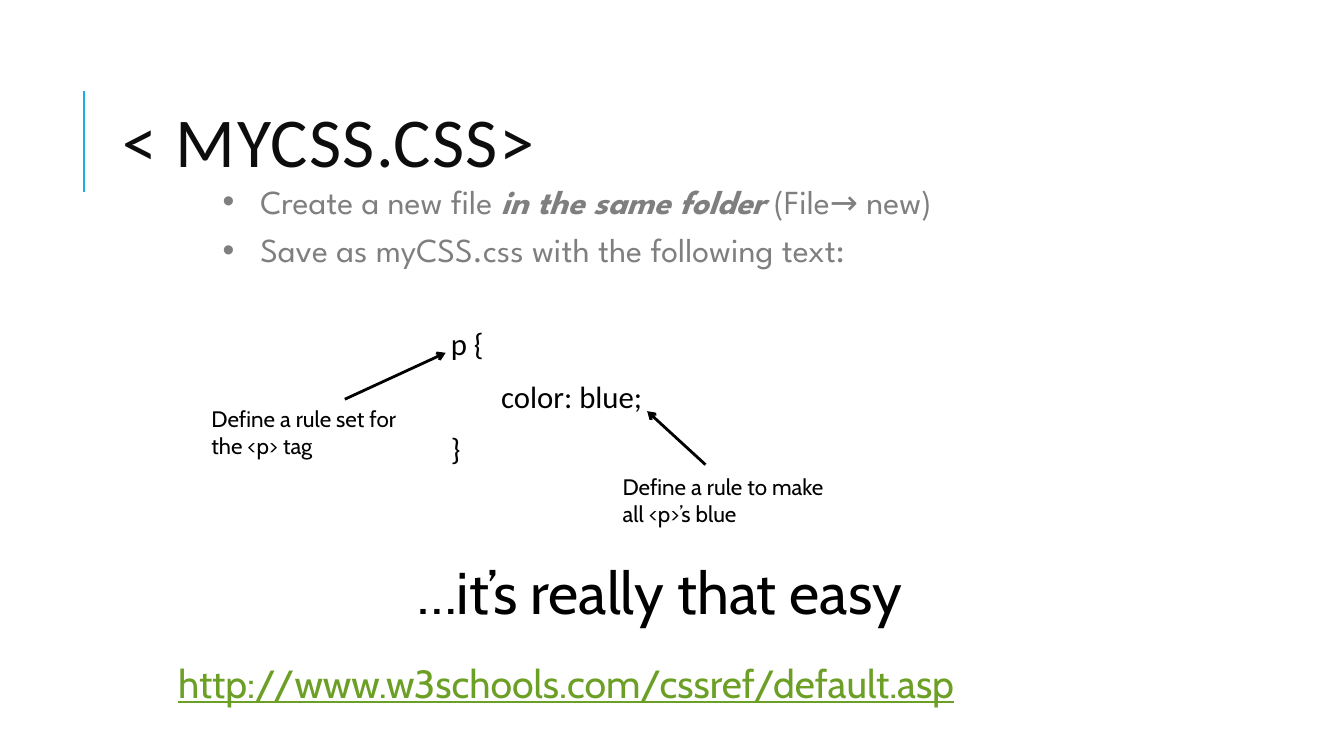
import pptx
import pptx.util
import pptx.dml.color
import pptx.enum.shapes
import pptx.enum.text
import pptx.oxml
import pptx.oxml.ns

Cm, Pt = pptx.util.Cm, pptx.util.Pt
RGBColor = pptx.dml.color.RGBColor
MSO_ANCHOR = pptx.enum.text.MSO_ANCHOR
MSO_AUTO_SIZE = pptx.enum.text.MSO_AUTO_SIZE
PP_ALIGN = pptx.enum.text.PP_ALIGN
STRAIGHT = pptx.enum.shapes.MSO_CONNECTOR.STRAIGHT

BLACK = RGBColor(0x00, 0x00, 0x00)
INK = RGBColor(0x0D, 0x0D, 0x0D)
GREY = RGBColor(0x7F, 0x7F, 0x7F)
GREEN = RGBColor(0x6B, 0x9F, 0x25)
BLUE = RGBColor(0x1C, 0xAD, 0xE4)

TITLE = "< MYCSS.CSS>"
STEPS = [
    [("Create a new file ", False), ("in the same folder", True), ("(File→ new)".join([" ", ""]), False)],
    [("Save as myCSS.css with the following text:", False)],
]
STEPS[0][2] = (" (File→ new)", False)
CODE = ["p {", "\tcolor: blue;", "}"]
LABELS = [
    ("Define a rule set for the <p> tag", (5.08, 10.08, 5.72, 1.63), 16, BLACK, False),
    ("Define a rule to make all <p>’s blue", (15.44, 11.81, 5.72, 1.63), 16, BLACK, False),
    ("…it’s really that easy", (10.26, 13.89, 16.08, 2.06), 42, BLACK, False),
    ("http://www.w3schools.com/cssref/default.asp", (4.24, 16.48, 25.4, 1.45), 28, GREEN, True),
]
LINES = [
    ((2.11, 4.83, 2.11, 2.29), BLUE, 1.5, False),
    ((8.69, 10.06, 11.23, 8.89), BLACK, 2, True),
    ((17.78, 11.71, 16.31, 10.36), BLACK, 2, True),
]


def add_xml(parent, tag, attributes=""):
    ns = pptx.oxml.ns.nsdecls("a")
    child = pptx.oxml.parse_xml(f"<a:{tag} {ns} {attributes}/>")
    parent.append(child)
    return child


def place(sp, box, inset):
    sp.left, sp.top, sp.width, sp.height = map(Cm, box)
    tf = sp.text_frame
    tf.word_wrap = True
    tf.auto_size = MSO_AUTO_SIZE.NONE
    tf.vertical_anchor = MSO_ANCHOR.TOP
    tf.margin_left = tf.margin_right = tf.margin_top = tf.margin_bottom = Cm(inset)
    return tf


def style(r, name, size, color):
    r.font.name = name
    r.font.size = Pt(size)
    r.font.color.rgb = color


def add_title(sp):
    tf = place(sp, (2.84, 1.63, 27, 4.17), 0.25)
    tf.vertical_anchor = MSO_ANCHOR.MIDDLE
    tf.text = TITLE
    p = tf.paragraphs[0]
    p.alignment = PP_ALIGN.LEFT
    p.line_spacing = 0.8
    r = p.runs[0]
    style(r, "Calibri", 50, INK)
    r.font._element.set("spc", "100")


def add_code(sp):
    tf = place(sp, (11.23, 8.15, 12.07, 7.1), 0.13)
    tf.text = "\n".join(CODE)
    for i, p in enumerate(tf.paragraphs):
        pPr = p._p.get_or_add_pPr()
        pPr.set("marL", "0")
        pPr.set("indent", "0")
        add_xml(pPr, "buNone")
        tabs = add_xml(pPr, "tabLst")
        add_xml(tabs, "tab", f'pos="{Cm(2.54)}" algn="l"')
        p.line_spacing = 0.9
        p.space_before = Pt(12 if i else 0)
        p.space_after = Pt(2)
        style(p.runs[0], "Calibri", 22, BLACK)


def add_steps(sp):
    tf = place(sp, (5.51, 4.45, 22.86, 12.22), 0.1)
    for i, step in enumerate(STEPS):
        p = tf.add_paragraph() if i else tf.paragraphs[0]
        pPr = p._p.get_or_add_pPr()
        pPr.set("marL", str(Cm(0.95)))
        pPr.set("indent", str(-Cm(0.95)))
        p.space_before = Pt(6 if i else 0)
        for text, strong in step:
            r = p.add_run()
            r.text = text
            style(r, "League Spartan", 24, GREY)
            r.font.bold = r.font.italic = strong


def add_label(s, text, box, size, color, underline):
    tf = s.shapes.add_textbox(*map(Cm, box)).text_frame
    tf.word_wrap = True
    tf.auto_size = MSO_AUTO_SIZE.SHAPE_TO_FIT_TEXT
    tf.text = text
    r = tf.paragraphs[0].runs[0]
    style(r, "Cabin", size, color)
    r.font.underline = underline


def add_line(s, ends, color, width, arrow):
    cxn = s.shapes.add_connector(STRAIGHT, *map(Cm, ends))
    cxn.line.color.rgb = color
    cxn.line.width = Pt(width)
    if arrow:
        add_xml(cxn.line._get_or_add_ln(), "tailEnd", 'type="arrow"')
    add_xml(cxn._element.spPr, "effectLst")


def main():
    prs = pptx.Presentation()
    prs.slide_width, prs.slide_height = Cm(33.87), Cm(19.05)
    s = prs.slides.add_slide(prs.slide_layouts[3])
    title, code, steps = s.placeholders
    add_title(title)
    add_code(code)
    add_steps(steps)
    for line in LINES:
        add_line(s, *line)
    for label in LABELS:
        add_label(s, *label)
    prs.save("out.pptx")


if __name__ == "__main__":
    main()
